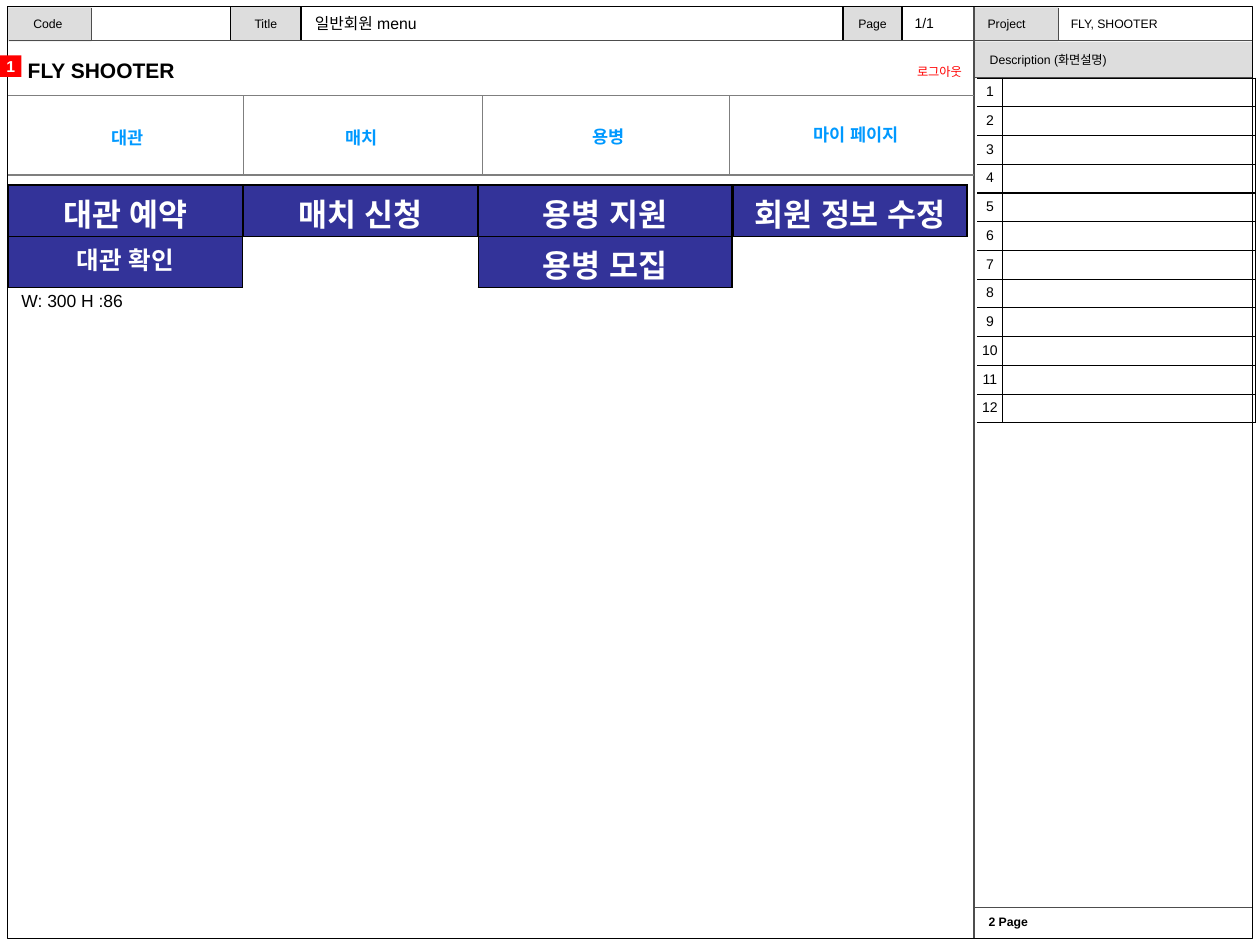
from lxml import etree
from pptx import Presentation
from pptx import util as u
from pptx.dml import color
from pptx.enum import shapes, text
from pptx.oxml import ns

BLACK, WHITE, GREY, DARK_GREY = "000000", "FFFFFF", "DDDDDD", "4D4D4D"
RED, SKY, NAVY, MID_GREY = "FF0000", "0099FF", "333399", "7F7F7F"
LEFT, CENTER, RIGHT = text.PP_ALIGN.LEFT, text.PP_ALIGN.CENTER, text.PP_ALIGN.RIGHT
TOP, MIDDLE = text.MSO_ANCHOR.TOP, text.MSO_ANCHOR.MIDDLE
NAV_BOTTOM, NAV_TOP, PANEL_LEFT, PANEL_RIGHT = 100.08, 54.72, 556.56, 715.68


def rgb(value):
    """Return the colour for a hex string."""
    return color.RGBColor.from_string(value)


def points(*values):
    """Return the values as lengths in points."""
    return [u.Pt(value) for value in values]


def add_text(frame, words, size, ink=BLACK, bold=False, align=LEFT):
    """Write one run in the first paragraph of a text frame."""
    para = frame.paragraphs[0]
    para.alignment = align
    span = para.add_run()
    span.text = words
    span.font.size = u.Pt(size)
    span.font.name = "Arial"
    span.font.bold = bold
    span.font.color.rgb = rgb(ink)
    east_asian = etree.SubElement(span.font._element, ns.qn("a:ea"))
    east_asian.set("typeface", "Arial")


def add_label(page, place, words, size, ink=BLACK, bold=False, align=LEFT,
              anchor=TOP, inset=(7.2, 3.6), grow=False):
    """Add a text box with one run."""
    box = page.shapes.add_textbox(*points(*place))
    frame = box.text_frame
    frame.word_wrap = True
    frame.vertical_anchor = anchor
    frame.margin_left = frame.margin_right = u.Pt(inset[0])
    frame.margin_top = frame.margin_bottom = u.Pt(inset[1])
    if grow:
        frame.auto_size = text.MSO_AUTO_SIZE.SHAPE_TO_FIT_TEXT
    add_text(frame, words, size, ink, bold, align)


def add_box(page, place, fill=None, line=None):
    """Add a rectangle and return it."""
    box = page.shapes.add_shape(shapes.MSO_SHAPE.RECTANGLE, *points(*place))
    box.shadow.inherit = False
    if fill:
        box.fill.solid()
        box.fill.fore_color.rgb = rgb(fill)
    else:
        box.fill.background()
    if line:
        box.line.color.rgb = rgb(line)
        box.line.width = u.Pt(0.75)
    else:
        box.line.fill.background()
    box.text_frame.vertical_anchor = MIDDLE
    return box


def add_line(page, ends, ink=DARK_GREY):
    """Add a thin straight line."""
    line = page.shapes.add_connector(shapes.MSO_CONNECTOR.STRAIGHT, *points(*ends))
    line.line.color.rgb = rgb(ink)
    line.line.width = u.Pt(0.75)
    etree.SubElement(line._element.spPr, ns.qn("a:effectLst"))


def set_borders(cell, sides, width):
    """Draw black borders on the named sides and clear the others."""
    properties = cell._tc.get_or_add_tcPr()
    for index, side in enumerate("LRTB"):
        border = etree.Element(ns.qn(f"a:ln{side}"), w=str(u.Pt(width)))
        if side in sides:
            fill = etree.SubElement(border, ns.qn("a:solidFill"))
            etree.SubElement(fill, ns.qn("a:srgbClr"), val=BLACK)
        else:
            etree.SubElement(border, ns.qn("a:noFill"))
        properties.insert(index, border)


def add_table(page, left, top, columns, row_count, row_height):
    """Add a plain table with equal rows and return it."""
    size = points(left, top, sum(columns), row_count * row_height)
    table = page.shapes.add_table(row_count, len(columns), *size).table
    table.first_row = table.horz_banding = False
    for column, width in zip(table.columns, columns):
        column.width = u.Pt(width)
    for row in table.rows:
        row.height = u.Pt(row_height)
    return table


def add_description_table(page):
    """Add the numbered, empty description rows."""
    table = add_table(page, 558.5, 44.64, (14.4, 144.36), 12, 16.43)
    for index in range(12):
        number, note = table.cell(index, 0), table.cell(index, 1)
        number.margin_left = number.margin_right = u.Pt(1)
        add_text(number.text_frame, str(index + 1), 8, align=CENTER)
        end = etree.SubElement(note.text_frame.paragraphs[0]._p, ns.qn("a:endParaRPr"))
        end.set("sz", "800")
        for cell, sides in ((number, "RTB"), (note, "LRTB")):
            cell.margin_top, cell.margin_bottom = points(3.4, 2)
            cell.fill.background()
            set_borders(cell, sides, 0.75)


def add_menu(page, left, width, items):
    """Add one drop-down menu of words and sizes."""
    table = add_table(page, left, 105.84, (width,), len(items), 29.3)
    for index, (words, size) in enumerate(items):
        cell = table.cell(index, 0)
        cell.margin_top, cell.margin_bottom = points(3.6 + size / 5, 0)
        cell.fill.solid()
        cell.fill.fore_color.rgb = rgb(NAVY)
        set_borders(cell, "LRTB", 1)
        add_text(cell.text_frame, words, size, WHITE, True, CENTER)


def add_header(page):
    """Add the document strip along the top and the panel heading."""
    heading = add_box(page, (PANEL_LEFT, 23.76, 159.12, 20.88), GREY)
    heading.text_frame.margin_left = u.Pt(9)
    add_text(heading.text_frame, "Description (화면설명)", 7)
    for left, width, words in ((481.68, 33.84, "Page"), (131.76, 40.32, "Title")):
        box = add_box(page, (left, 3.6, width, 19.44), GREY, BLACK)
        add_text(box.text_frame, words, 7, align=CENTER)
    for left in (4.32, PANEL_LEFT):
        add_box(page, (left, 4.32, 48, 19.44), GREY)
    add_label(page, (4.32, 3.6, 46.08, 19.44), "Code", 7, align=CENTER, anchor=MIDDLE)
    add_label(page, (557.28, 5.76, 47.52, 17.28), "Project", 7)
    add_label(page, (604.8, 5.76, 108, 17.28), "FLY, SHOOTER", 7)
    add_label(page, (172.8, 4.32, 306, 18), "일반회원 menu", 9, anchor=MIDDLE)
    add_label(page, (515.52, 3.6, 37.44, 18.72), "1/1", 8, anchor=MIDDLE)


def add_frame(page):
    """Add the page outline and its dividing lines."""
    add_line(page, (PANEL_LEFT, 3.6, PANEL_LEFT, 536.4))
    add_line(page, (5.04, 23.04, PANEL_RIGHT, 23.04))
    for y in (518.4, 44.3):
        add_line(page, (PANEL_LEFT, y, PANEL_RIGHT, y))
    for x in (604.8, 52.3):
        add_line(page, (x, 4.32, x, 23.04))
    add_box(page, (4.32, 3.6, 711.36, 532.8), line=BLACK)
    add_label(page, (559.2, 519.6, 154.08, 17.28), "2 Page", 7, bold=True,
              inset=(5.76, 2.88))


def add_navigation(page):
    """Add the site title and the four main tabs."""
    add_label(page, (8.8, 29.3, 448.56, 21.6), "FLY SHOOTER", 12, bold=True, anchor=MIDDLE)
    add_label(page, (478.8, 33.12, 77.76, 15.84), "로그아웃", 7, RED, align=RIGHT)
    for y in (NAV_TOP, NAV_BOTTOM):
        add_line(page, (4.32, y, PANEL_LEFT, y), MID_GREY)
    for x in (138.96, 275.76, 416.88):
        add_line(page, (x, NAV_TOP, x, NAV_BOTTOM), MID_GREY)
    for left, top, words in ((5.76, 69.12, "대관"), (139.68, 69.12, "매치"),
                             (280.8, 68.4, "용병"), (422.2, 67.4, "마이 페이지")):
        add_label(page, (left, top, 133.92, 19.44), words, 10, SKY, True, CENTER, grow=True)


def main():
    """Build and save the slide."""
    deck = Presentation()
    deck.slide_width, deck.slide_height = points(720, 540)
    page = deck.slides.add_slide(deck.slide_layouts[6])
    add_header(page)
    add_frame(page)
    add_navigation(page)
    marker = add_box(page, (0, 31.68, 12.24, 12.24), RED)
    marker.text_frame.word_wrap = False
    add_text(marker.text_frame, "1", 9, WHITE, True, CENTER)
    add_description_table(page)
    add_menu(page, 4.8, 133.92, (("대관 예약", 18), ("대관 확인", 14)))
    add_menu(page, 138.96, 133.92, (("매치 신청", 18),))
    add_menu(page, 273.4, 145, (("용병 지원", 18), ("용병 모집", 18)))
    add_menu(page, 418.8, 133.92, (("회원 정보 수정", 18),))
    add_label(page, (5.2, 162, 84.96, 19.44), "W: 300 H :86", 10, grow=True)
    deck.save("out.pptx")


if __name__ == "__main__":
    main()
